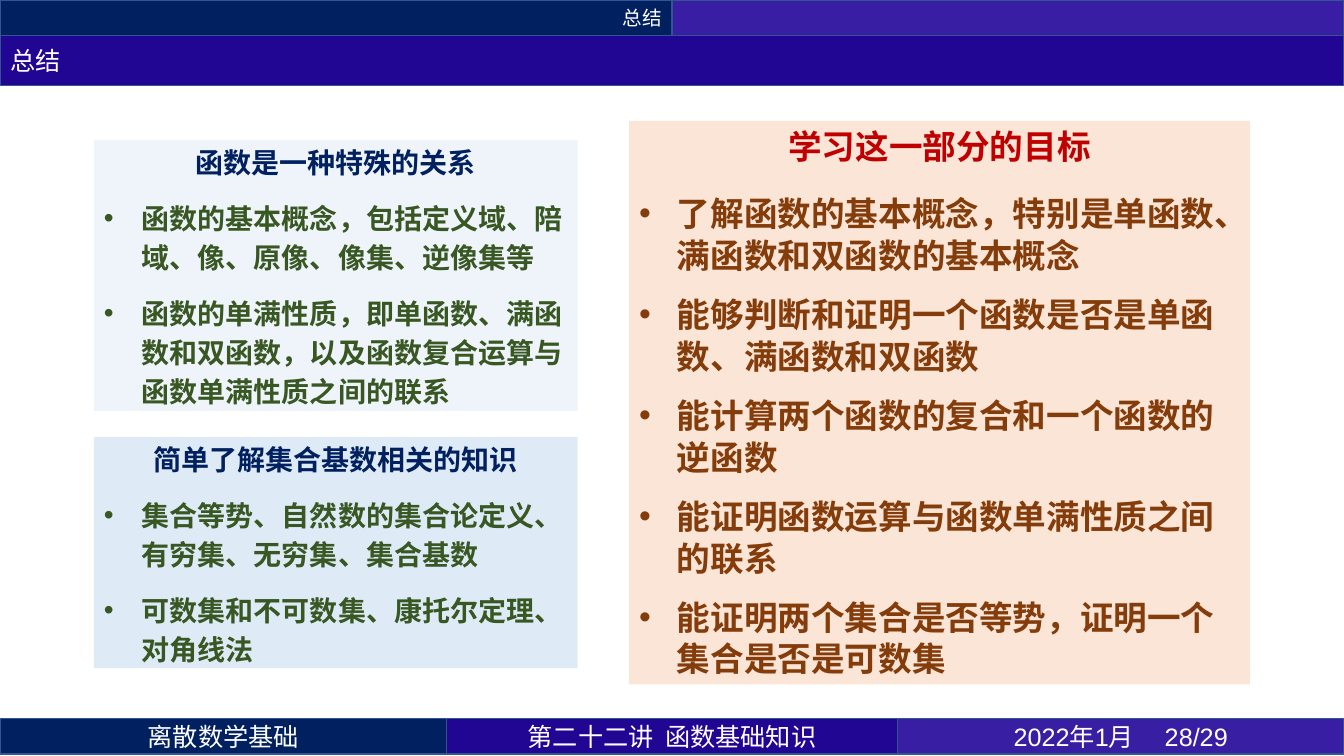
from lxml.etree import SubElement as Sub
from pptx import Presentation
from pptx.dml.color import RGBColor as RGB
from pptx.enum.shapes import MSO_SHAPE as Kind
from pptx.enum.text import MSO_ANCHOR as Anchor, MSO_AUTO_SIZE as Auto, PP_ALIGN as Align
from pptx.oxml.ns import qn
from pptx.util import Pt

HUE = {"navy": "002060", "blue": "210694", "violet": "371EA2", "edge": "325491",
       "white": "FFFFFF", "sky": "DEEBF7", "peach": "FBE5D6", "green": "385723",
       "red": "C00000", "brown": "843C0B"}
CJK = "Noto Sans CJK SC"


def apply(obj, form):
    for key, val in form.items():
        setattr(obj, key, val)


class Deck:
    def __init__(self, slide):
        self.slide = slide
        self.frame = {"word_wrap": True, "auto_size": Auto.NONE,
                      "margin_left": Pt(7.2), "margin_right": Pt(7.2),
                      "margin_top": Pt(3.6), "margin_bottom": Pt(3.6)}

    def place(self, shape, box, fill, edge=None, anchor=Anchor.MIDDLE):
        """Set the box, fill, outline and text frame of a shape."""
        apply(shape, dict(zip(("left", "top", "width", "height"), map(Pt, box))))
        shape.fill.solid()
        shape.fill.fore_color.rgb = RGB.from_string(HUE[fill])
        if edge:
            shape.line.color.rgb = RGB.from_string(HUE[edge])
            shape.line.width = Pt(1)
        else:
            shape.line.fill.background()
        apply(shape.text_frame, {**self.frame, "vertical_anchor": anchor})

    def label(self, para, text, size, hue, form, face=CJK, bold=False, mark=None):
        """Fill one paragraph, with a hanging bullet if mark is given."""
        apply(para, form)
        props = para._p.get_or_add_pPr()
        props.set("marL", str(Pt(27) if mark else 0))
        props.set("indent", str(Pt(-27) if mark else 0))
        if mark:
            Sub(props, qn("a:buFont"), typeface="Arial")
            Sub(props, qn("a:buChar"), char=mark)
        else:
            Sub(props, qn("a:buNone"))
        run = para.add_run()
        run.text = text
        apply(run.font, {"size": Pt(size), "bold": bold, "name": face})
        run.font.color.rgb = RGB.from_string(HUE[hue])
        Sub(run._r.get_or_add_rPr(), qn("a:ea"), typeface=CJK)

    def bar(self, box, fill, text="", size=18, align=Align.CENTER, face=CJK):
        shape = self.slide.shapes.add_shape(Kind.RECTANGLE, *map(Pt, box))
        shape.shadow.inherit = False
        self.place(shape, box, fill, "edge")
        if text:
            self.label(shape.text_frame.paragraphs[0], text, size, "white",
                       {"alignment": align}, face)

    def title(self, box, fill, text):
        shape = self.slide.shapes.title
        self.place(shape, box, fill, "edge")
        self.label(shape.text_frame.paragraphs[0], text, 18, "white",
                   {"alignment": Align.LEFT})

    def panel(self, slot, box, fill, head, hues, size, lead, gap, items, alpha=None):
        """Turn a body placeholder into a headed bullet list."""
        shape = self.slide.placeholders[slot]
        self.place(shape, box, fill, anchor=Anchor.TOP)
        if alpha:
            tint = shape._element.spPr.find(qn("a:solidFill"))[0]
            Sub(tint, qn("a:alpha"), val=str(alpha * 1000))
        text = shape.text_frame
        self.label(text.paragraphs[0], head, size, hues[0],
                   {"alignment": Align.CENTER, "line_spacing": 1.0,
                    "space_before": Pt(0), "space_after": Pt(gap)}, bold=True)
        for item in items:
            self.label(text.add_paragraph(), item, size, hues[1],
                       {"alignment": Align.LEFT, "line_spacing": Pt(lead),
                        "space_before": Pt(6), "space_after": Pt(6)},
                       bold=True, mark="•")


def main():
    prs = Presentation()
    apply(prs, {"slide_width": Pt(960), "slide_height": Pt(540)})
    slide = prs.slides.add_slide(prs.slide_layouts.get_by_name("Comparison"))
    spare = slide.placeholders[3]._element
    spare.getparent().remove(spare)
    deck = Deck(slide)

    # Header
    deck.bar((0, 0, 480, 25.2), "navy", "总结", 14, Align.RIGHT)
    deck.bar((480, 0, 480, 25.2), "violet")
    deck.title((0, 25.2, 960, 36), "blue", "总结")

    # Footer
    left = 0
    for wide, fill, text, face in (
            (319, "navy", "离散数学基础", CJK),
            (322, "blue", "第二十二讲  函数基础知识", CJK),
            (319, "violet", "2022年1月 \t28/29", "Arial")):
        deck.bar((left, 513.4, wide, 25.2), fill, text, face=face)
        left += wide

    # Summary on the left
    cool = ("navy", "green")
    deck.panel(1, (67, 100, 345.6, 193.5), "sky", "函数是一种特殊的关系", cool, 20, 28, 6, [
        "函数的基本概念，包括定义域、陪域、像、原像、像集、逆像集等",
        "函数的单满性质，即单函数、满函数和双函数，以及函数复合运算与函数单满性质之间的联系",
    ], alpha=50)
    deck.panel(2, (67, 312.3, 345.6, 165), "sky", "简单了解集合基数相关的知识", cool, 20, 28, 6, [
        "集合等势、自然数的集合论定义、有穷集、无穷集、集合基数",
        "可数集和不可数集、康托尔定理、对角线法",
    ])

    # Goals on the right
    deck.panel(4, (449.3, 86.4, 443.5, 402.5), "peach", "学习这一部分的目标",
               ("red", "brown"), 24, 30, 12, [
        "了解函数的基本概念，特别是单函数、满函数和双函数的基本概念",
        "能够判断和证明一个函数是否是单函数、满函数和双函数",
        "能计算两个函数的复合和一个函数的逆函数",
        "能证明函数运算与函数单满性质之间的联系",
        "能证明两个集合是否等势，证明一个集合是否是可数集",
    ])

    prs.save("out.pptx")


if __name__ == "__main__":
    main()
